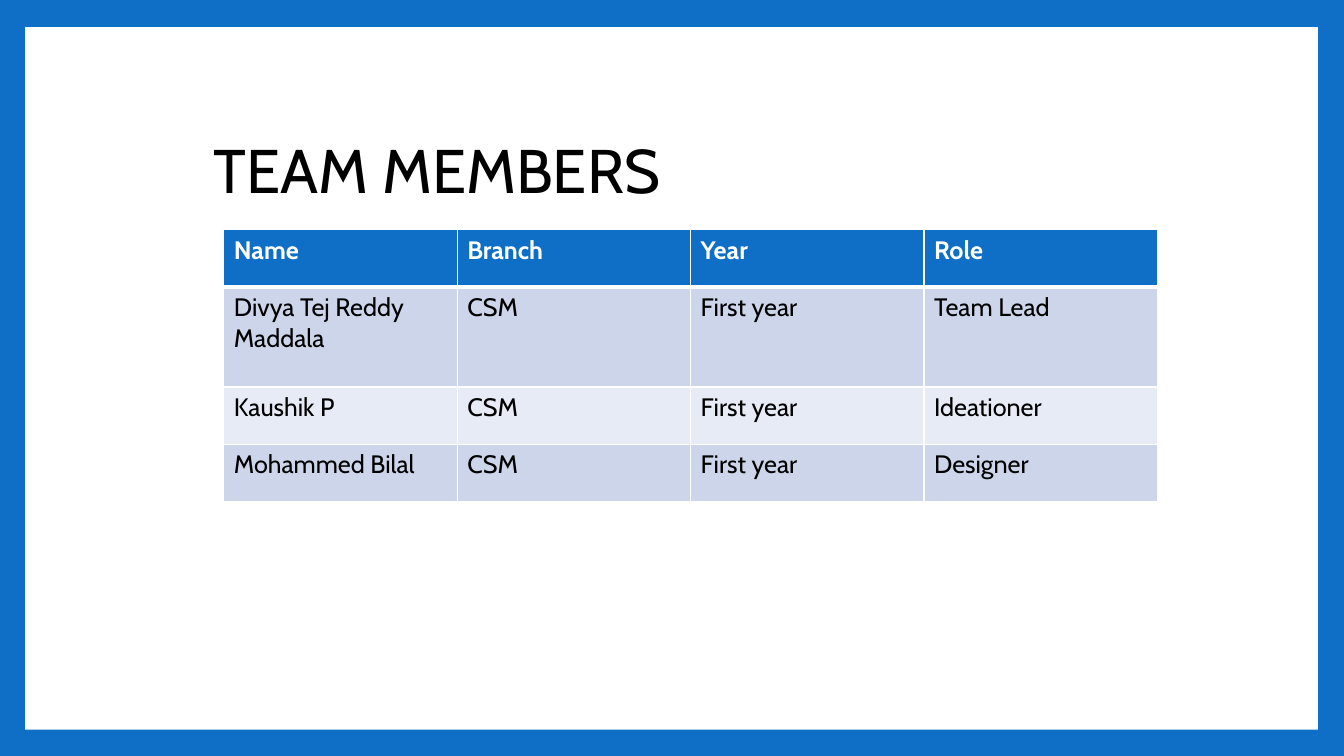
from dataclasses import dataclass

from lxml.etree import SubElement
from pptx import Presentation
from pptx.dml.color import RGBColor
from pptx.enum.shapes import MSO_SHAPE
from pptx.oxml import parse_xml
from pptx.oxml.ns import nsdecls, qn
from pptx.table import _Cell
from pptx.text.text import TextFrame
from pptx.util import Inches, Pt

BLUE, WHITE, BLACK = "0F6FC6", "FFFFFF", "000000"
DARK, LIGHT = "CCD5EA", "E7EBF5"


@dataclass
class Row:
    height: float
    fill: str
    texts: tuple[str, ...]
    color: str = BLACK
    bold: bool = False


ROWS = [
    Row(0.57, BLUE, ("Name", "Branch", "Year", "Role"), WHITE, True),
    Row(0.99, DARK, ("Divya Tej Reddy Maddala", "CSM", "First year", "Team Lead")),
    Row(0.57, LIGHT, ("Kaushik P", "CSM", "First year", "Ideationer")),
    Row(0.57, DARK, ("Mohammed Bilal", "CSM", "First year", "Designer")),
]
WIDTH = 2.315


def rgb(code: str) -> RGBColor:
    return RGBColor.from_string(code)


def write(frame: TextFrame, text: str, size: int, color: str, bold: bool = False) -> None:
    run = frame.paragraphs[0].add_run()
    run.text = text
    style = {"name": "Cabin", "size": Pt(size), "bold": bold}
    for key, value in style.items():
        setattr(run.font, key, value)
    run.font.color.rgb = rgb(color)


def edge(cell: _Cell, top: int, bottom: int) -> None:
    """Put white lines on all sides; they come before the fill."""
    props = cell._tc.get_or_add_tcPr()
    sides = {"lnL": 1, "lnR": 1, "lnT": top, "lnB": bottom}
    for spot, (side, width) in enumerate(sides.items()):
        line = parse_xml(f'<a:{side} {nsdecls("a")} w="{Pt(width)}"/>')
        fill = SubElement(line, qn("a:solidFill"))
        SubElement(fill, qn("a:srgbClr"), val=WHITE)
        props.insert(spot, line)


deck = Presentation()
deck.slide_width, deck.slide_height = Inches(13.33), Inches(7.5)
slide = deck.slides.add_slide(deck.slide_layouts[6])

# Blue frame around a white panel
slide.background.fill.solid()
slide.background.fill.fore_color.rgb = rgb(BLUE)
panel = slide.shapes.add_shape(
    MSO_SHAPE.RECTANGLE, Inches(0.25), Inches(0.27), Inches(12.82), Inches(6.97))
panel.shadow.inherit = False
panel.fill.solid()
panel.fill.fore_color.rgb = rgb(WHITE)
panel.line.fill.background()

# Title
title = slide.shapes.add_textbox(Inches(2.02), Inches(1.26), Inches(8.68), Inches(0.84))
title.text_frame.word_wrap = True
write(title.text_frame, "TEAM MEMBERS", 44, BLACK)

# Member table
count = len(ROWS[0].texts)
table = slide.shapes.add_table(
    len(ROWS), count, Inches(2.22), Inches(2.28),
    Inches(WIDTH * count), Inches(sum(row.height for row in ROWS))).table
for column in table.columns:
    column.width = Inches(WIDTH)
for i, row in enumerate(ROWS):
    table.rows[i].height = Inches(row.height)
    for j, text in enumerate(row.texts):
        cell = table.cell(i, j)
        cell.fill.solid()
        cell.fill.fore_color.rgb = rgb(row.fill)
        edge(cell, top=3 if i == 1 else 1, bottom=3 if i == 0 else 1)
        write(cell.text_frame, text, 18, row.color, row.bold)

deck.save("out.pptx")
